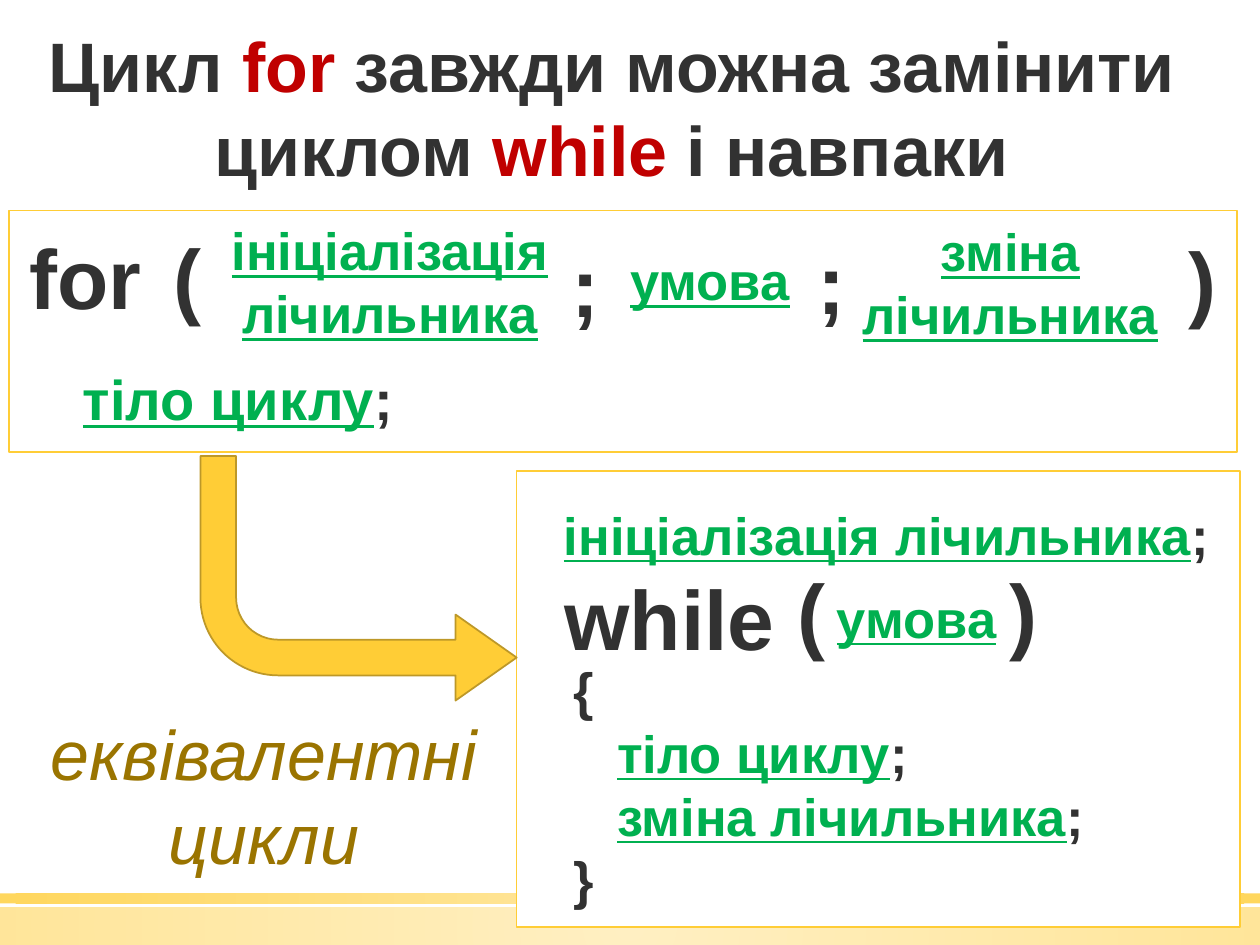
from dataclasses import dataclass

import pptx
import pptx.dml.color
import pptx.enum.shapes
import pptx.enum.text
import pptx.oxml
import pptx.oxml.ns
import pptx.presentation
import pptx.shapes.autoshape
import pptx.slide
import pptx.text.text
import pptx.util

Inches = pptx.util.Inches
Pt = pptx.util.Pt
RGBColor = pptx.dml.color.RGBColor
Shape = pptx.enum.shapes.MSO_SHAPE
Align = pptx.enum.text.PP_ALIGN
qn = pptx.oxml.ns.qn

DARK = RGBColor(0x32, 0x32, 0x32)
RED = RGBColor(0xC0, 0x00, 0x00)
GREEN = RGBColor(0x00, 0xB0, 0x50)
BROWN = RGBColor(0x9A, 0x74, 0x00)
WHITE = RGBColor(0xFF, 0xFF, 0xFF)
YELLOW = RGBColor(0xFF, 0xCD, 0x36)
LIGHT_YELLOW = RGBColor(0xFF, 0xE1, 0x86)
ARROW_LINE = RGBColor(0xBD, 0x98, 0x28)
FONT = "Arial"


@dataclass(frozen=True)
class Box:
    left: float
    top: float
    width: float
    height: float

    def emu(self) -> tuple[int, ...]:
        return tuple(Inches(v) for v in (self.left, self.top, self.width, self.height))


@dataclass(frozen=True)
class Span:
    text: str
    color: RGBColor = DARK
    size: float = 30
    bold: bool = True
    italic: bool = False
    underline: bool = False


@dataclass(frozen=True)
class Line:
    spans: tuple[Span, ...]
    align: Align = Align.CENTER
    indent: float = 0


@dataclass(frozen=True)
class Label:
    box: Box
    lines: tuple[Line, ...]
    inset: float = 0


def keyword(text: str) -> Line:
    return Line((Span(text, size=48),))


def slot(text: str) -> Line:
    """A green underlined part of a loop, to be filled in by the programmer."""
    return Line((Span(text, GREEN, underline=True),))


def statement(text: str, align: Align = Align.LEFT, indent: float = 0, size: float = 30) -> Line:
    """A slot closed by a dark semicolon."""
    return Line((Span(text, GREEN, size, underline=True), Span(";", size=size)), align, indent)


def brace(text: str) -> Line:
    return Line((Span(text),), Align.LEFT)


TITLE = Line((
    Span("Цикл ", size=40),
    Span("for ", RED, 40),
    Span("завжди можна замінити циклом ", size=40),
    Span("while ", RED, 40),
    Span("і навпаки", size=40),
))

LABELS = (
    Label(Box(0.07, 1.79, 1.22, 0.81), (keyword("for"),)),
    Label(Box(1.2, 1.79, 0.58, 0.81), (keyword("("),)),
    Label(Box(1.72, 1.73, 2.75, 1.01), (slot("ініціалізація\nлічильника"),)),
    Label(Box(4.37, 1.85, 0.55, 0.81), (keyword(";"),)),
    Label(Box(4.88, 1.97, 1.51, 0.5), (slot("умова"),)),
    Label(Box(6.32, 1.83, 0.55, 0.81), (keyword(";"),)),
    Label(Box(6.72, 1.74, 2.6, 1.01), (slot("зміна\nлічильника"),)),
    Label(Box(9.27, 1.81, 0.55, 0.81), (keyword(")"),)),
    Label(Box(0.56, 2.89, 3.08, 0.54), (statement("тіло циклу", size=32),)),
    Label(Box(3.8, 3.99, 6.47, 0.5), (statement("ініціалізація лічильника", Align.CENTER),)),
    Label(Box(4.35, 4.5, 1.93, 0.81), (keyword("while"),)),
    Label(Box(6.15, 4.45, 0.58, 0.81), (keyword("("),)),
    Label(Box(6.15, 4.65, 2.25, 0.5), (slot("умова"),)),
    Label(Box(7.85, 4.45, 0.55, 0.81), (keyword(")"),)),
    Label(Box(4.45, 5.22, 5.24, 2.02), (
        brace("{"),
        statement("тіло циклу", indent=0.35),
        statement("зміна лічильника", indent=0.35),
        brace("}"),
    )),
    Label(Box(0.16, 5.59, 3.87, 1.45),
          (Line((Span("еквівалентні цикли", BROWN, 40, bold=False, italic=True),)),), 0.05),
)


def write_line(p: pptx.text.text._Paragraph, line: Line) -> None:
    p.alignment = line.align
    if line.indent:
        p._p.get_or_add_pPr().set("marL", str(Inches(line.indent)))
    for span in line.spans:
        for i, part in enumerate(span.text.split("\n")):
            if i:
                p.add_line_break()
            r = p.add_run()
            r.text = part
            r.font.name = FONT
            r.font.size = Pt(span.size)
            r.font.bold = span.bold
            r.font.italic = span.italic
            r.font.underline = span.underline
            r.font.color.rgb = span.color


def fill_text(tf: pptx.text.text.TextFrame, lines: tuple[Line, ...], inset: float) -> None:
    tf.word_wrap = True
    tf.auto_size = pptx.enum.text.MSO_AUTO_SIZE.NONE
    tf.vertical_anchor = pptx.enum.text.MSO_ANCHOR.TOP
    tf.margin_top = tf.margin_bottom = Inches(inset)
    for i, line in enumerate(lines):
        write_line(tf.add_paragraph() if i else tf.paragraphs[0], line)


def add_label(slide: pptx.slide.Slide, label: Label) -> None:
    sp = slide.shapes.add_textbox(*label.box.emu())
    fill_text(sp.text_frame, label.lines, label.inset)


def add_panel(slide: pptx.slide.Slide, kind: Shape, box: Box, fill: RGBColor,
              line: RGBColor) -> pptx.shapes.autoshape.Shape:
    sp = slide.shapes.add_shape(kind, *box.emu())
    sp.shadow.inherit = False
    sp.fill.solid()
    sp.fill.fore_color.rgb = fill
    sp.line.color.rgb = line
    sp.line.width = Pt(1)
    return sp


def add_footer_band(slide: pptx.slide.Slide, box: Box, opacity: int) -> None:
    """A bar with a translucent radial gradient."""
    sp = slide.shapes.add_shape(Shape.RECTANGLE, *box.emu())
    sp.shadow.inherit = False
    sp.line.fill.background()
    sp.fill.gradient()
    for stop, color in zip(sp.fill.gradient_stops, (LIGHT_YELLOW, YELLOW)):
        stop.color.rgb = color
    grad = sp._element.spPr.find(qn("a:gradFill"))
    for clr in grad.iter(qn("a:srgbClr")):
        clr.append(pptx.oxml.parse_xml(
            f'<a:alpha {pptx.oxml.ns.nsdecls("a")} val="{opacity * 1000}"/>'))
    radial = pptx.oxml.parse_xml(
        f'<a:path {pptx.oxml.ns.nsdecls("a")} path="circle">'
        '<a:fillToRect l="50000" t="50000" r="50000" b="50000"/></a:path>')
    grad.replace(grad.find(qn("a:lin")), radial)


def add_turn_arrow(slide: pptx.slide.Slide, box: Box) -> None:
    """An arrow that runs down and then turns right."""
    sp = add_panel(slide, Shape.BENT_ARROW, box, YELLOW, ARROW_LINE)
    for i, value in enumerate((0.146, 0.176, 0.25, 0.318)):
        sp.adjustments[i] = value
    sp.rotation = 180
    sp._element.spPr.find(qn("a:xfrm")).set("flipH", "1")


def main() -> None:
    prs = pptx.Presentation()
    prs.slide_width, prs.slide_height = Inches(10), Inches(7.5)
    slide = prs.slides.add_slide(prs.slide_layouts[5])

    title = slide.shapes.title
    title.left, title.top, title.width, title.height = Box(0, 0.13, 9.71, 1.45).emu()
    fill_text(title.text_frame, (TITLE,), 0.05)

    add_footer_band(slide, Box(0, 7.2, 10, 0.3), 50)
    add_footer_band(slide, Box(0, 7.09, 10, 0.08), 80)
    for box in (Box(0.07, 1.67, 9.75, 1.92), Box(4.1, 3.74, 5.74, 3.62)):
        add_panel(slide, Shape.RECTANGLE, box, WHITE, YELLOW)
    for label in LABELS:
        add_label(slide, label)
    add_turn_arrow(slide, Box(1.59, 3.62, 2.51, 1.94))

    prs.save("out.pptx")


if __name__ == "__main__":
    main()
